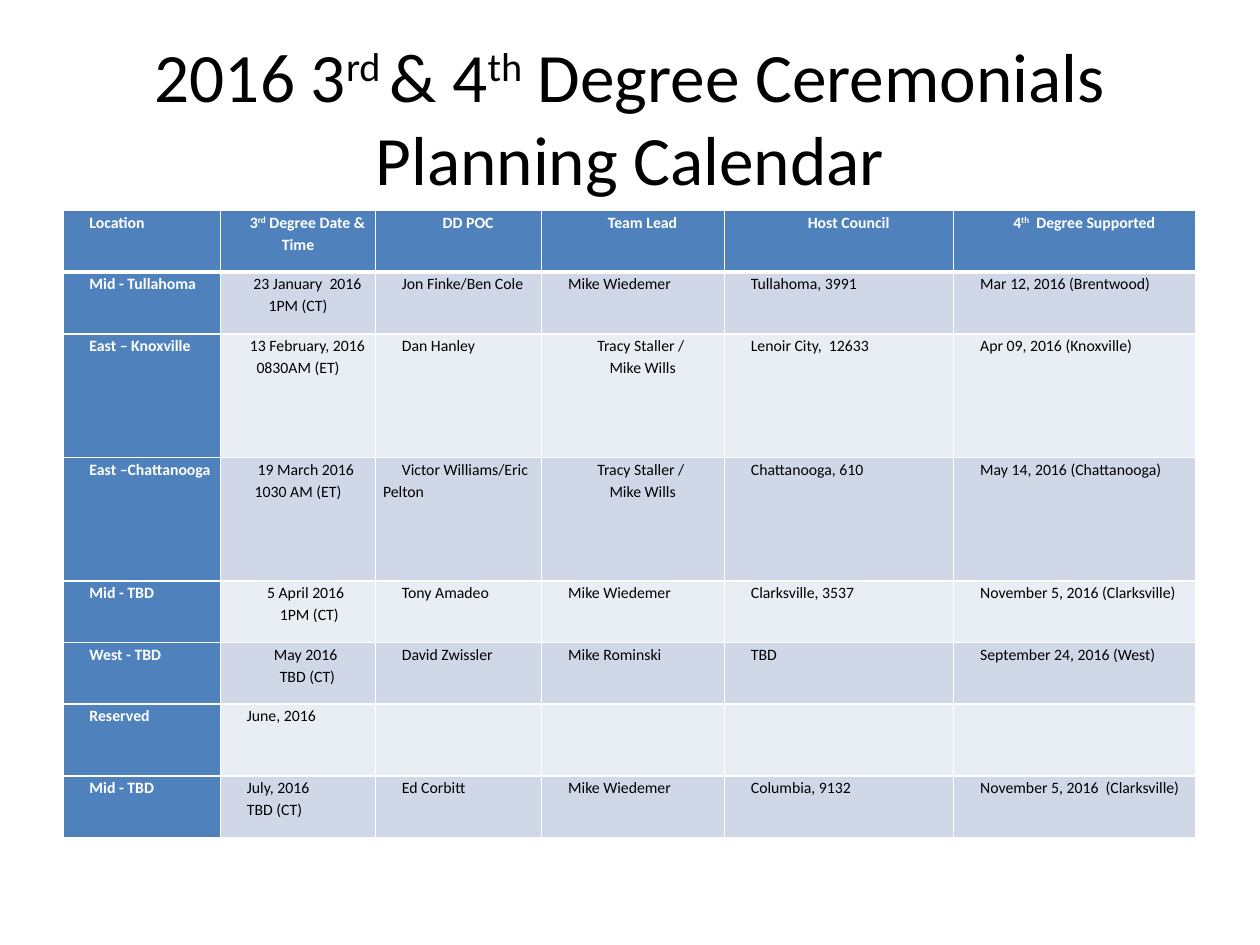
"""Build the 2016 degree ceremonials planning calendar slide."""
from dataclasses import dataclass

from lxml.etree import SubElement
from pptx import Presentation
from pptx.dml.color import RGBColor
from pptx.enum.text import MSO_ANCHOR, PP_ALIGN
from pptx.oxml.ns import qn
from pptx.slide import Slide
from pptx.table import _Cell
from pptx.text.text import _Paragraph
from pptx.util import Inches, Pt


@dataclass(frozen=True)
class Theme:
    font: str = "Calibri"
    title_size: float = 39.6
    cell_size: float = 9
    black: str = "000000"
    white: str = "FFFFFF"
    accent: str = "4F81BD"
    bands: tuple[str, str] = ("D0D8E8", "E9EDF4")


@dataclass(frozen=True)
class CalendarRow:
    height: float
    cells: tuple[str, ...]
    centered: tuple[int, ...] = ()


THEME = Theme()
COLUMN_WIDTHS = (1.25, 1.23, 1.32, 1.45, 1.82, 1.92)
ROWS = (
    CalendarRow(0.49, ("Location", "3^rd^ Degree Date & Time", "DD POC", "Team Lead",
                       "Host Council", "4^th^  Degree Supported"), (1, 2, 3, 4, 5)),
    CalendarRow(0.49, ("Mid - Tullahoma", "23 January  2016 1PM (CT)", "Jon Finke/Ben Cole",
                       "Mike Wiedemer", "Tullahoma, 3991", "Mar 12, 2016 (Brentwood)"), (1,)),
    CalendarRow(0.98, ("East – Knoxville", "13 February, 2016 0830AM (ET)", "Dan Hanley",
                       "Tracy Staller / \nMike Wills", "Lenoir City,  12633",
                       "Apr 09, 2016 (Knoxville)"), (1, 3)),
    CalendarRow(0.98, ("East –Chattanooga", "19 March 2016 \v1030 AM (ET)",
                       "Victor Williams/Eric Pelton", "Tracy Staller / \nMike Wills",
                       "Chattanooga, 610", "May 14, 2016 (Chattanooga)"), (1, 3)),
    CalendarRow(0.49, ("Mid - TBD", "5 April 2016 \n 1PM (CT)", "Tony Amadeo", "Mike Wiedemer",
                       "Clarksville, 3537", "November 5, 2016 (Clarksville)"), (1,)),
    CalendarRow(0.49, ("West - TBD", "May 2016 \nTBD (CT)", "David Zwissler", "Mike Rominski",
                       "TBD", "September 24, 2016 (West)"), (1,)),
    CalendarRow(0.57, ("Reserved", "June, 2016", "", "", "", "")),
    CalendarRow(0.49, ("Mid - TBD", "July, 2016\nTBD (CT)", "Ed Corbitt", "Mike Wiedemer",
                       "Columbia, 9132", "November 5, 2016  (Clarksville)")),
)


def write_paragraph(paragraph: _Paragraph, text: str, size: float, color: str,
                    bold: bool = False) -> None:
    """Write text whose superscript parts stand between carets."""
    first, *rest = text.split("^")
    paragraph.text = first
    for index, part in enumerate(rest):
        run = paragraph.add_run()
        run.text = part
        if index % 2 == 0:
            run.font._element.set("baseline", "30000")
    for run in paragraph.runs:
        run.font.name = THEME.font
        run.font.size = Pt(size)
        run.font.bold = bold
        run.font.color.rgb = RGBColor.from_string(color)


def set_borders(cell: _Cell, top: float, bottom: float) -> None:
    """Draw white borders around a cell."""
    properties = cell._tc.get_or_add_tcPr()
    for side, width in (("L", 1), ("R", 1), ("T", top), ("B", bottom)):
        line = SubElement(properties, qn(f"a:ln{side}"), w=str(Pt(width)))
        fill = SubElement(line, qn("a:solidFill"))
        SubElement(fill, qn("a:srgbClr"), val=THEME.white)


def fill_cell(cell: _Cell, row_index: int, column_index: int, row: CalendarRow) -> None:
    """Format one calendar cell and write its text."""
    heading = row_index == 0 or column_index == 0
    set_borders(cell, 3 if row_index == 1 else 1, 3 if row_index == 0 else 1)
    cell.fill.solid()
    cell.fill.fore_color.rgb = RGBColor.from_string(
        THEME.accent if heading else THEME.bands[(row_index - 1) % 2])
    cell.margin_left = cell.margin_right = Inches(0.06)
    cell.margin_top = cell.margin_bottom = Inches(0)
    text = row.cells[column_index]
    if not text:
        return
    cell.text_frame.text = text
    for paragraph, line in zip(cell.text_frame.paragraphs, text.split("\n")):
        write_paragraph(paragraph, line, THEME.cell_size,
                        THEME.white if heading else THEME.black, heading)
        paragraph.line_spacing = 1.15
        paragraph.alignment = PP_ALIGN.CENTER if column_index in row.centered else PP_ALIGN.LEFT
        paragraph_properties = paragraph._p.get_or_add_pPr()
        paragraph_properties.set("marL", "0")
        paragraph_properties.set("indent", str(Inches(0.15)))


def add_title(slide: Slide) -> None:
    """Add the centred slide title."""
    text_frame = slide.shapes.add_textbox(
        Inches(0.5), Inches(0.3), Inches(9), Inches(1.25)).text_frame
    text_frame.word_wrap = True
    text_frame.vertical_anchor = MSO_ANCHOR.MIDDLE
    paragraph = text_frame.paragraphs[0]
    paragraph.alignment = PP_ALIGN.CENTER
    write_paragraph(paragraph, "2016 3^rd ^& 4^th^ Degree Ceremonials Planning Calendar",
                    THEME.title_size, THEME.black)


def add_calendar(slide: Slide) -> None:
    """Add the calendar table."""
    table = slide.shapes.add_table(
        len(ROWS), len(COLUMN_WIDTHS), Inches(0.5), Inches(1.67),
        Inches(sum(COLUMN_WIDTHS)), Inches(sum(row.height for row in ROWS))).table
    table.first_row = table.horz_banding = False
    for column, width in zip(table.columns, COLUMN_WIDTHS):
        column.width = Inches(width)
    for row_index, row in enumerate(ROWS):
        table.rows[row_index].height = Inches(row.height)
        for column_index in range(len(COLUMN_WIDTHS)):
            fill_cell(table.cell(row_index, column_index), row_index, column_index, row)


def main() -> None:
    """Create and save the presentation."""
    presentation = Presentation()
    presentation.slide_width = Inches(10)
    presentation.slide_height = Inches(7.5)
    slide = presentation.slides.add_slide(presentation.slide_layouts[6])
    add_title(slide)
    add_calendar(slide)
    presentation.save("out.pptx")


main()
